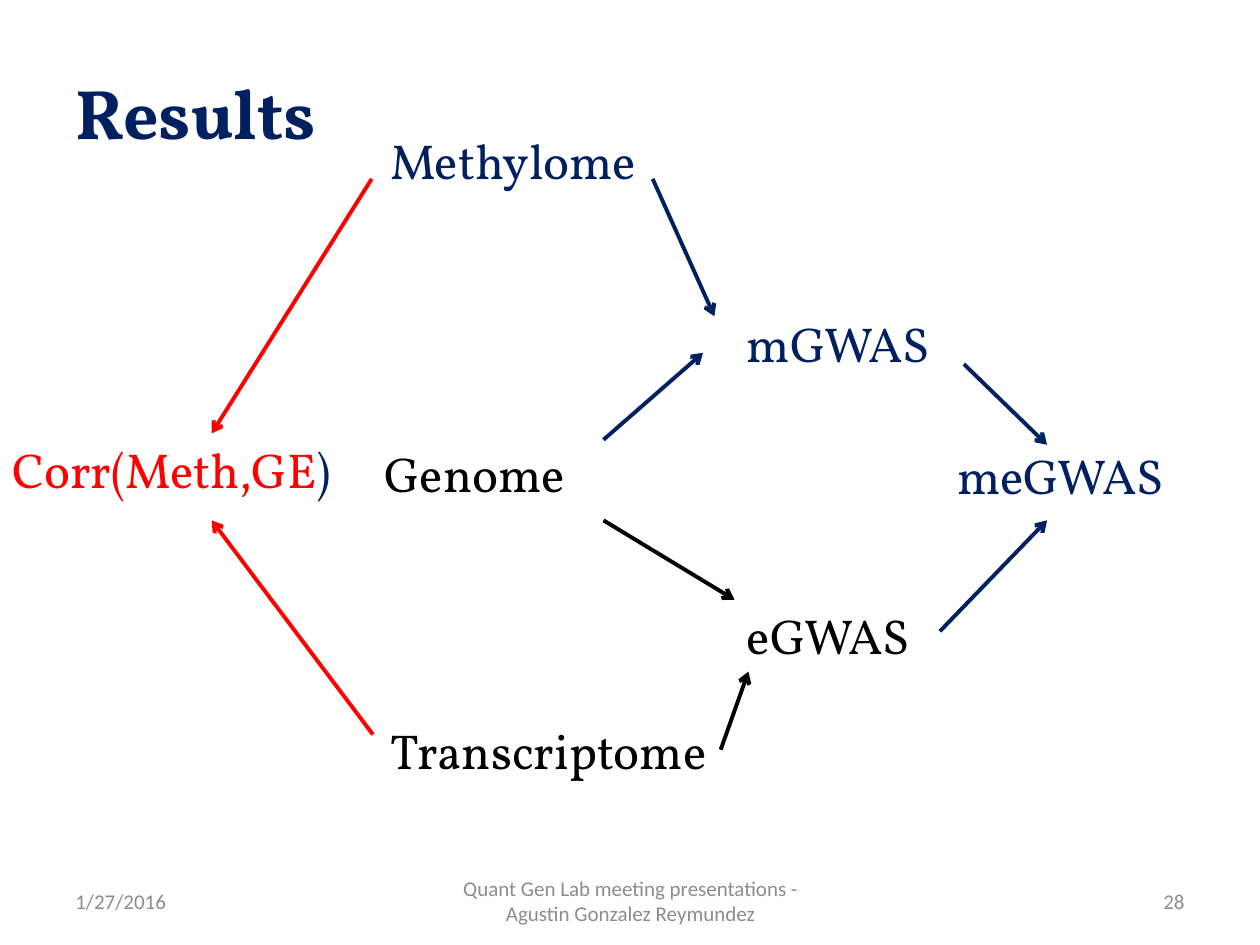
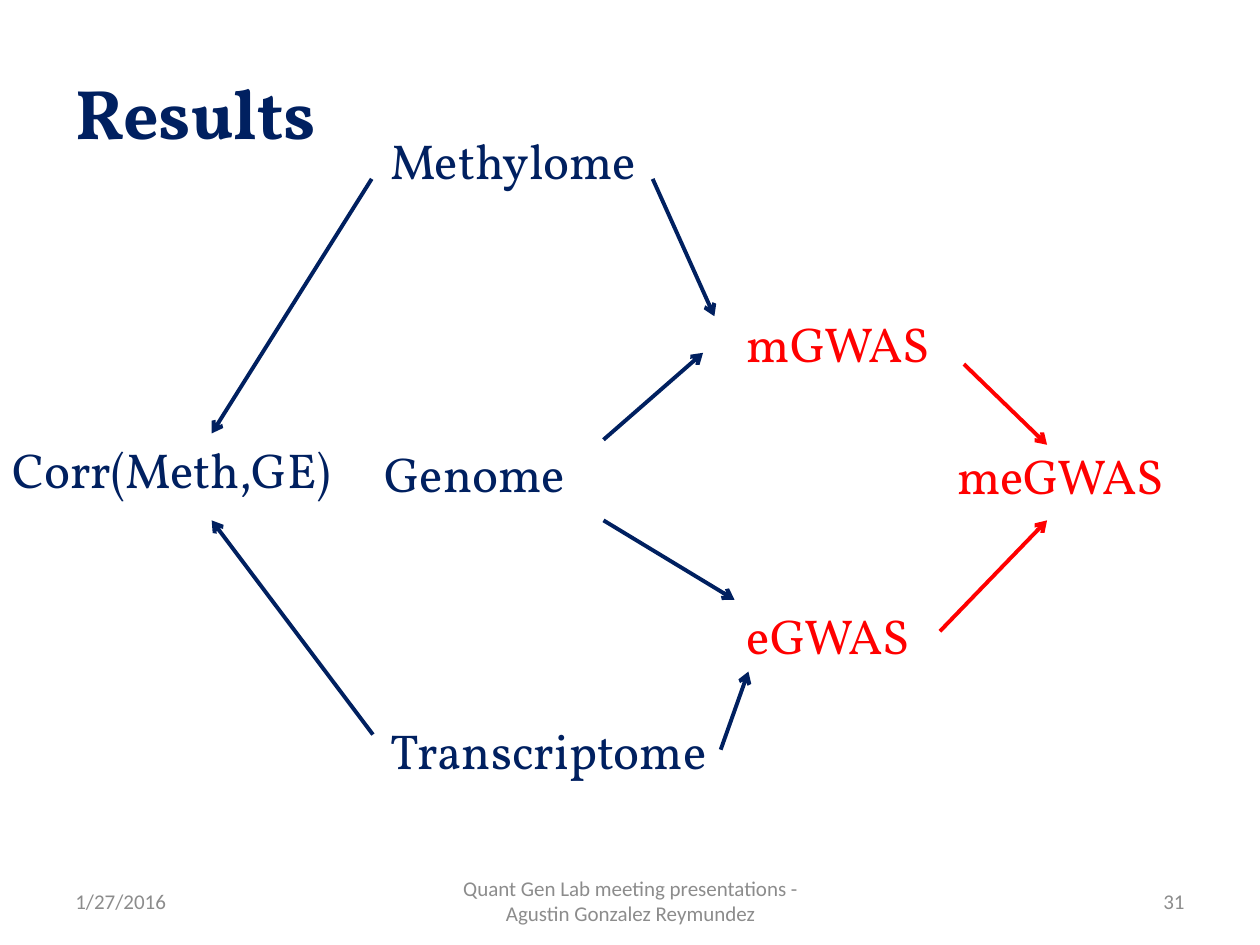
import pptx
import pptx.util
import pptx.dml.color
import pptx.enum.shapes
import pptx.enum.text
import pptx.oxml.ns
import lxml.etree

Inches = pptx.util.Inches
ALIGN = pptx.enum.text.PP_ALIGN

COLORS = {"navy": "002060", "red": "FF0000", "black": "000000", "gray": "8C8C8C"}
HEADING_FONT, FOOTER_FONT = "Vollkorn", "Calibri"

# Label positions: left, top, width
LABELS = {
    "Methylome": (3, 0.99, 2.83),
    "Genome": (2.95, 3.47, 3.37),
    "Transcriptome": (3, 5.67, 2.83),
    "Corr(Meth,GE)": (0, 3.44, 3.37),
    "mGWAS": (5.83, 2.44, 3),
    "eGWAS": (5.83, 4.76, 3),
    "meGWAS": (7.5, 3.49, 3),
}

# Arrows grouped by the label they lead to: start, end
ARROWS = {
    "Corr(Meth,GE)": [((2.95, 1.42), (1.68, 3.44)), ((2.96, 5.83), (1.68, 4.13))],
    "mGWAS": [((5.18, 1.42), (5.67, 2.51)), ((4.79, 3.49), (5.58, 2.8))],
    "eGWAS": [((4.79, 4.13), (5.83, 4.76)), ((5.72, 5.95), (5.94, 5.33))],
    "meGWAS": [((7.65, 2.89), (8.31, 3.53)), ((7.46, 5.01), (8.31, 4.13))],
}

# Departures from navy on each slide; arrow colours go by target
SLIDES = [
    {
        "number": 28,
        "labels": {"Genome": "black", "Transcriptome": "black",
                   "eGWAS": "black", "Corr(Meth,GE)": "red"},
        "arrows": {"Corr(Meth,GE)": "red", "eGWAS": "black"},
    },
    {
        "number": 31,
        "labels": {"mGWAS": "red", "eGWAS": "red", "meGWAS": "red"},
        "arrows": {"meGWAS": "red"},
    },
]


def rgb(color):
    return pptx.dml.color.RGBColor.from_string(COLORS[color])


def add_text(s, box, runs, size, font=HEADING_FONT, bold=False, align=ALIGN.LEFT):
    """Add a one-paragraph text box; runs are (text, colour) pairs."""
    sp = s.shapes.add_textbox(*map(Inches, box))
    tf = sp.text_frame
    tf.word_wrap = True
    p = tf.paragraphs[0]
    p.alignment = align
    for text, color in runs:
        r = p.add_run()
        r.text = text
        r.font.name = font
        r.font.size = pptx.util.Pt(size)
        r.font.bold = bold
        r.font.color.rgb = rgb(color)
    return tf


def add_heading(s, box, runs, size, bold=False):
    tf = add_text(s, box, runs, size, bold=bold)
    tf.auto_size = pptx.enum.text.MSO_AUTO_SIZE.SHAPE_TO_FIT_TEXT


def add_footer(s, left, width, text, align):
    tf = add_text(s, (left, 6.95, width, 0.4), [(text, "gray")], 12,
                  font=FOOTER_FONT, align=align)
    tf.vertical_anchor = pptx.enum.text.MSO_ANCHOR.MIDDLE


def add_label(s, name, color):
    left, top, width = LABELS[name]
    runs = [(name, color)]
    if name.endswith(")"):  # the closing bracket stays navy
        runs = [(name[:-1], color), (")", "navy")]
    add_heading(s, (left, top, width, 0.57), runs, 28)


def add_arrow(s, start, end, color):
    line = s.shapes.add_connector(pptx.enum.shapes.MSO_CONNECTOR.STRAIGHT,
                                  *map(Inches, start + end))
    line.line.color.rgb = rgb(color)
    line.line.width = pptx.util.Pt(2.25)
    qn = pptx.oxml.ns.qn
    ln = line.line._get_or_add_ln()
    lxml.etree.SubElement(ln, qn("a:tailEnd"), type="arrow")
    lxml.etree.SubElement(ln.getparent(), qn("a:effectLst"))


def add_frame(s, number):
    """Title and footers shared by all slides."""
    add_footer(s, 0.5, 2.33, "1/27/2016", ALIGN.LEFT)
    add_footer(s, 7.17, 2.33, str(number), ALIGN.RIGHT)
    add_footer(s, 3.42, 3.17,
               "Quant Gen Lab meeting presentations - Agustin Gonzalez Reymundez",
               ALIGN.CENTER)
    add_heading(s, (0.5, 0.5, 8.58, 0.77), [("Results", "navy")], 40, bold=True)


def add_diagram(s, label_colors, arrow_colors):
    for name in LABELS:
        add_label(s, name, label_colors.get(name, "navy"))
    for target, arrows in ARROWS.items():
        for start, end in arrows:
            add_arrow(s, start, end, arrow_colors.get(target, "navy"))


def main():
    prs = pptx.Presentation()
    prs.slide_width, prs.slide_height = Inches(10), Inches(7.5)
    for content in SLIDES:
        s = prs.slides.add_slide(prs.slide_layouts[6])
        add_frame(s, content["number"])
        add_diagram(s, content["labels"], content["arrows"])
    prs.save("out.pptx")


if __name__ == "__main__":
    main()
